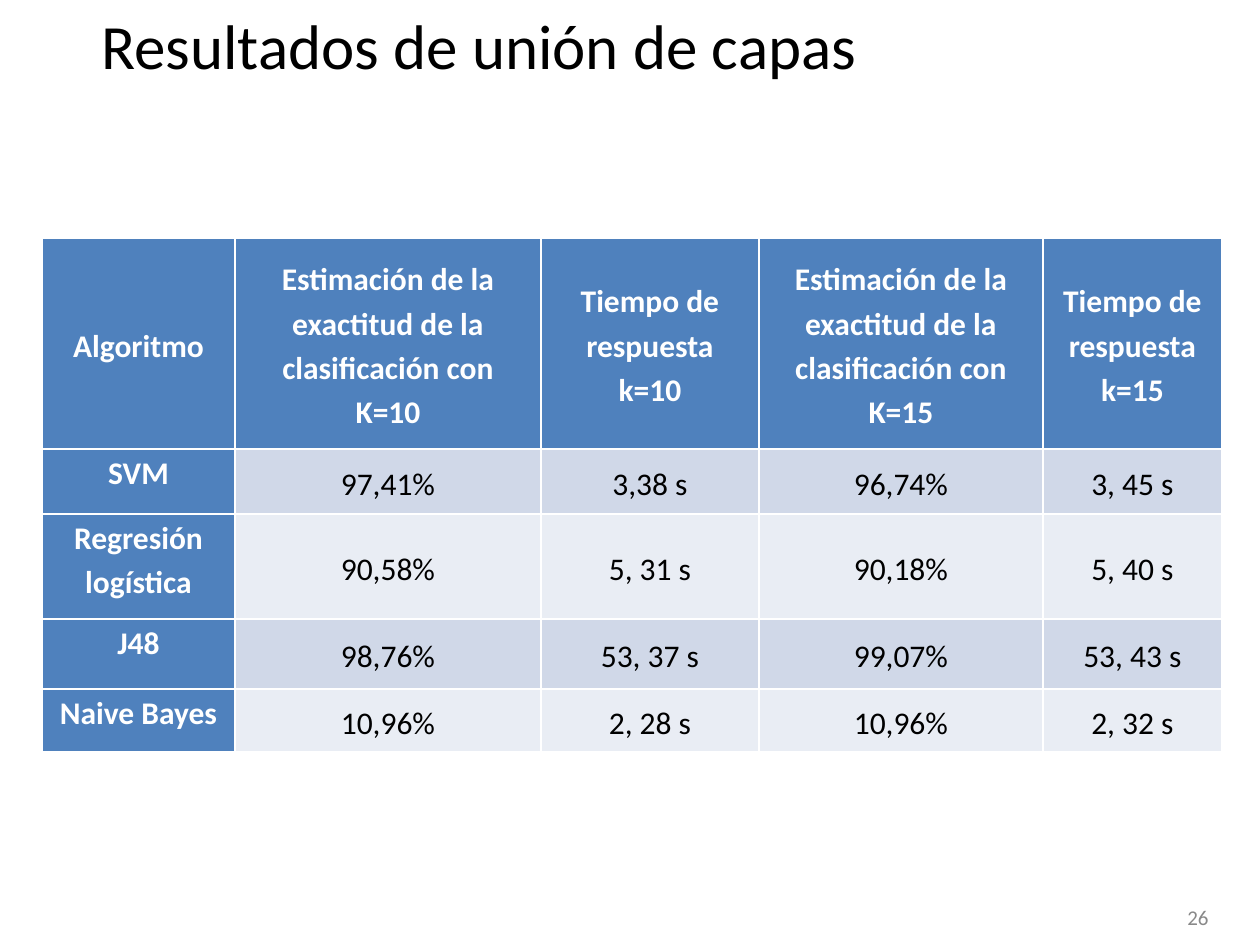
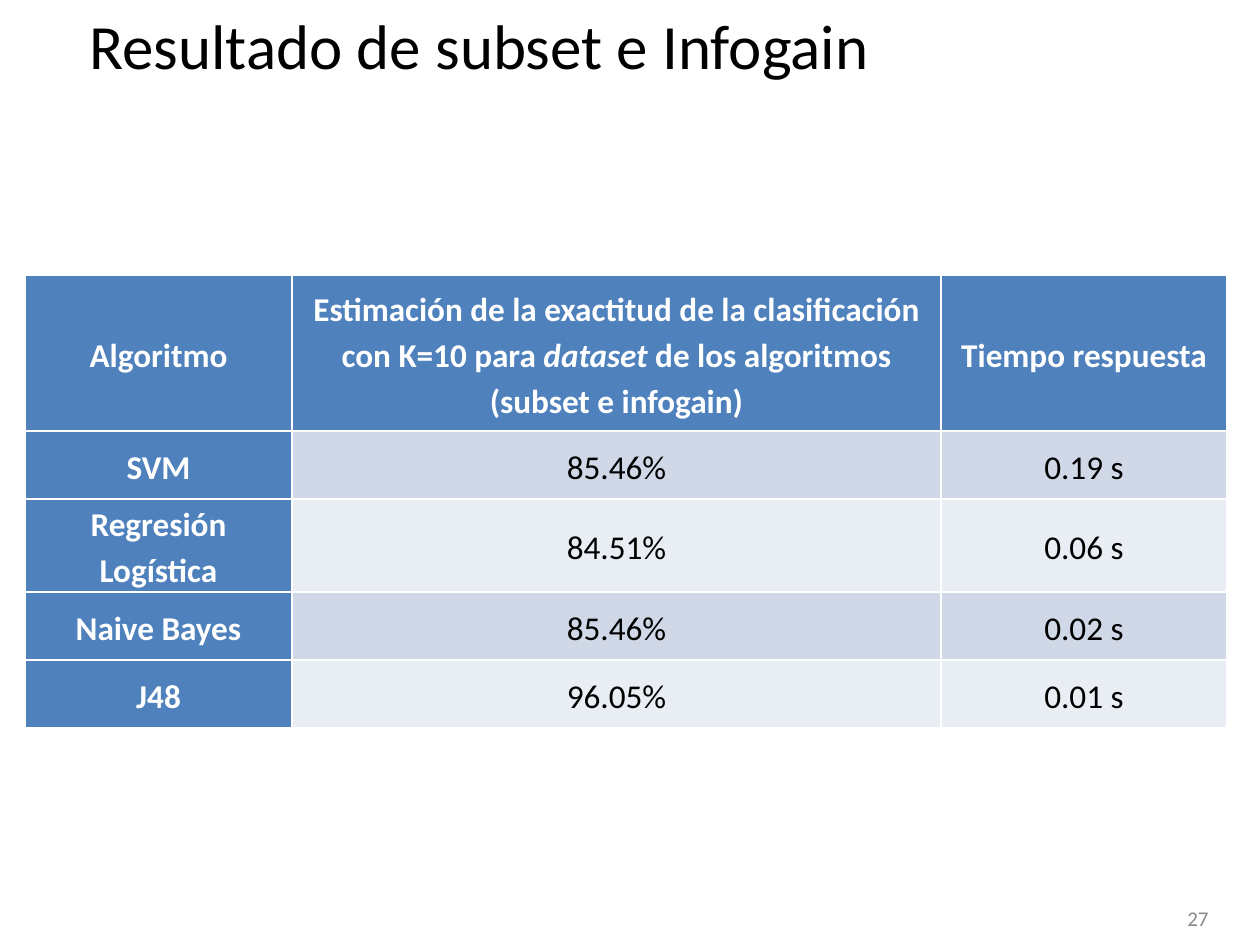
"""Build two slides of classification results, each with a title, a table and a page number."""
import pptx
import pptx.dml.color
import pptx.enum.text
import pptx.util

ALIGN = pptx.enum.text.PP_ALIGN
ANCHOR = pptx.enum.text.MSO_ANCHOR
EMU_PER_PX = 914400 / 126
FONT = "Calibri"
BLACK, WHITE, GREY = "000000", "FFFFFF", "898989"
HEADER_BLUE = "4F81BD"
BANDS = ["D0D8E8", "E9EDF4"]


def px(length):
    return pptx.util.Emu(round(length * EMU_PER_PX))


def style(paragraph, size, colour, align, bold=False):
    paragraph.alignment = align
    paragraph.font.name = FONT
    paragraph.font.size = pptx.util.Pt(size)
    paragraph.font.bold = bold
    paragraph.font.color.rgb = pptx.dml.color.RGBColor.from_string(colour)


results = [
    {
        "title": "Resultados de unión de capas",
        "page": "26", "page_top": 892,
        "left": 42, "top": 238, "size": 18, "inset": 15,
        "label_anchor": ANCHOR.TOP,
        "widths": [193, 306, 218, 284, 179],
        "heights": [211, 65, 105, 70, 63],
        "rows": [
            ["Algoritmo",
             "Estimación de la exactitud de la clasificación con K=10",
             "Tiempo de respuesta k=10",
             "Estimación de la exactitud de la clasificación con K=15",
             "Tiempo de respuesta k=15"],
            ["SVM", "97,41%", "3,38 s", "96,74%", "3, 45 s"],
            ["Regresión logística", "90,58%", "5, 31 s", "90,18%", "5, 40 s"],
            ["J48", "98,76%", "53, 37 s", "99,07%", "53, 43 s"],
            ["Naive Bayes", "10,96%", "2, 28 s", "10,96%", "2, 32 s"],
        ],
    },
    {
        "title": "Resultado de subset e Infogain",
        "page": "27", "page_top": 893,
        "left": 25, "top": 275, "size": 19, "inset": 11,
        "label_anchor": ANCHOR.MIDDLE,
        "widths": [267, 649, 286],
        "heights": [156, 68, 93, 68, 68],
        "rows": [
            ["Algoritmo",
             "Estimación de la exactitud de la clasificación con K=10 para "
             "*dataset* de los algoritmos (subset e infogain)",
             "Tiempo respuesta"],
            ["SVM", "85.46%", "0.19 s"],
            ["Regresión Logística", "84.51%", "0.06 s"],
            ["Naive Bayes", "85.46%", "0.02 s"],
            ["J48", "96.05%", "0.01 s"],
        ],
    },
]

deck = pptx.Presentation()
deck.slide_width, deck.slide_height = px(1260), px(945)

for result in results:
    slide = deck.slides.add_slide(deck.slide_layouts[6])
    widths, heights, rows = result["widths"], result["heights"], result["rows"]

    page = slide.shapes.add_textbox(px(927), px(result["page_top"]), px(294), px(50)).text_frame
    page.word_wrap = True
    page.vertical_anchor = ANCHOR.MIDDLE
    page.text = result["page"]
    style(page.paragraphs[0], 12, GREY, ALIGN.RIGHT)

    table = slide.shapes.add_table(
        len(rows), len(widths), px(result["left"]), px(result["top"]),
        px(sum(widths)), px(sum(heights))).table
    table.first_col = True
    for column, width in zip(table.columns, widths):
        column.width = px(width)
    for row, height in zip(table.rows, heights):
        row.height = px(height)

    for r, values in enumerate(rows):
        for c, value in enumerate(values):
            heading = r == 0 or c == 0
            cell = table.cell(r, c)
            cell.fill.solid()
            cell.fill.fore_color.rgb = pptx.dml.color.RGBColor.from_string(
                HEADER_BLUE if heading else BANDS[(r - 1) % 2])
            cell.margin_left = cell.margin_right = px(result["inset"])
            cell.margin_top = cell.margin_bottom = 0
            cell.vertical_anchor = result["label_anchor"] if r and c == 0 else ANCHOR.MIDDLE
            paragraph = cell.text_frame.paragraphs[0]
            for part, words in enumerate(value.split("*")):
                run = paragraph.add_run()
                run.text = words
                if part % 2:
                    run.font.italic = True
            style(paragraph, result["size"], WHITE if heading else BLACK, ALIGN.CENTER, heading)
            paragraph.line_spacing = 1.15
            paragraph.space_before = paragraph.space_after = pptx.util.Pt(6)

    title = slide.shapes.add_textbox(0, 0, px(958), px(125)).text_frame
    title.word_wrap = True
    title.text = result["title"]
    style(title.paragraphs[0], 36, BLACK, ALIGN.CENTER)

deck.save("out.pptx")
